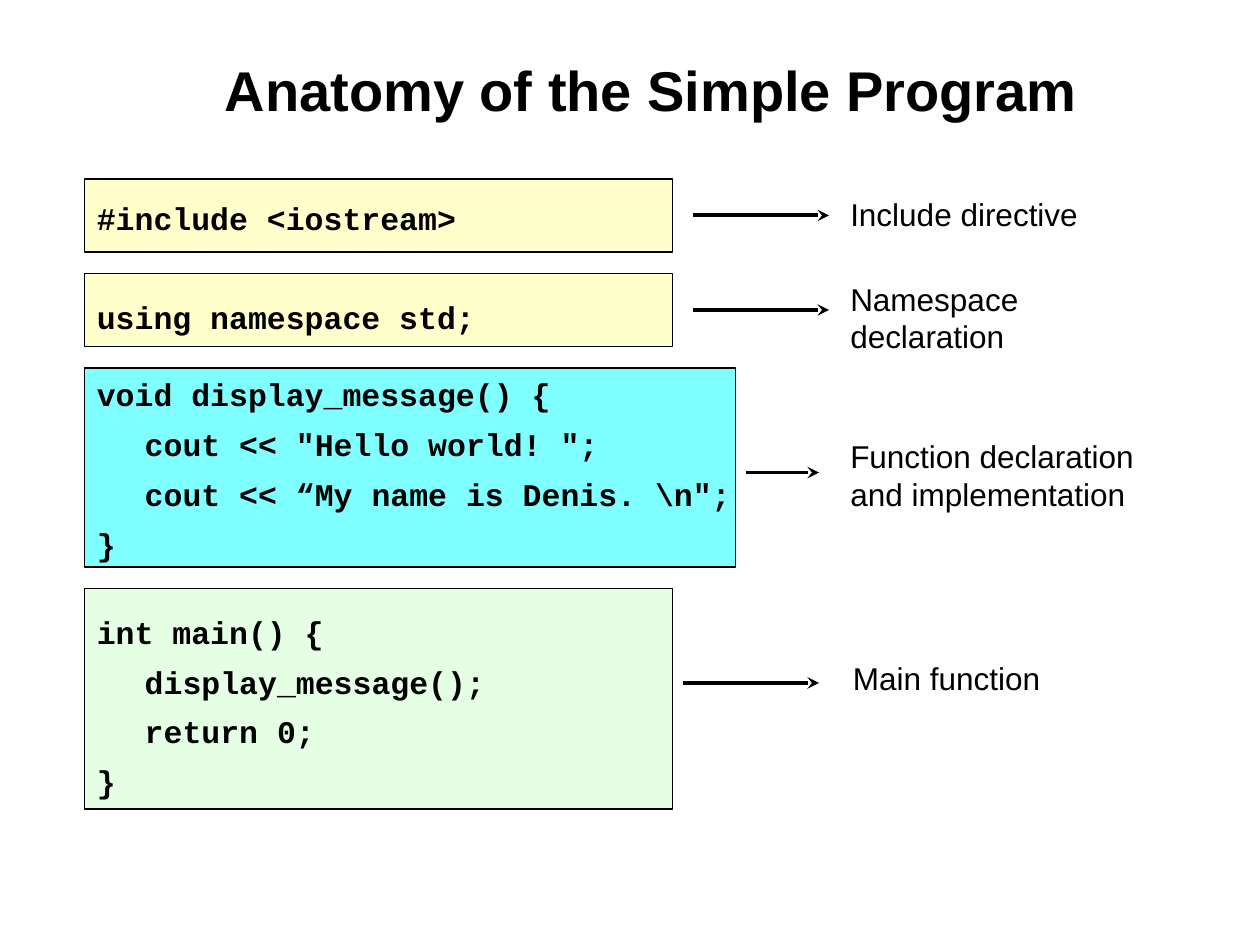
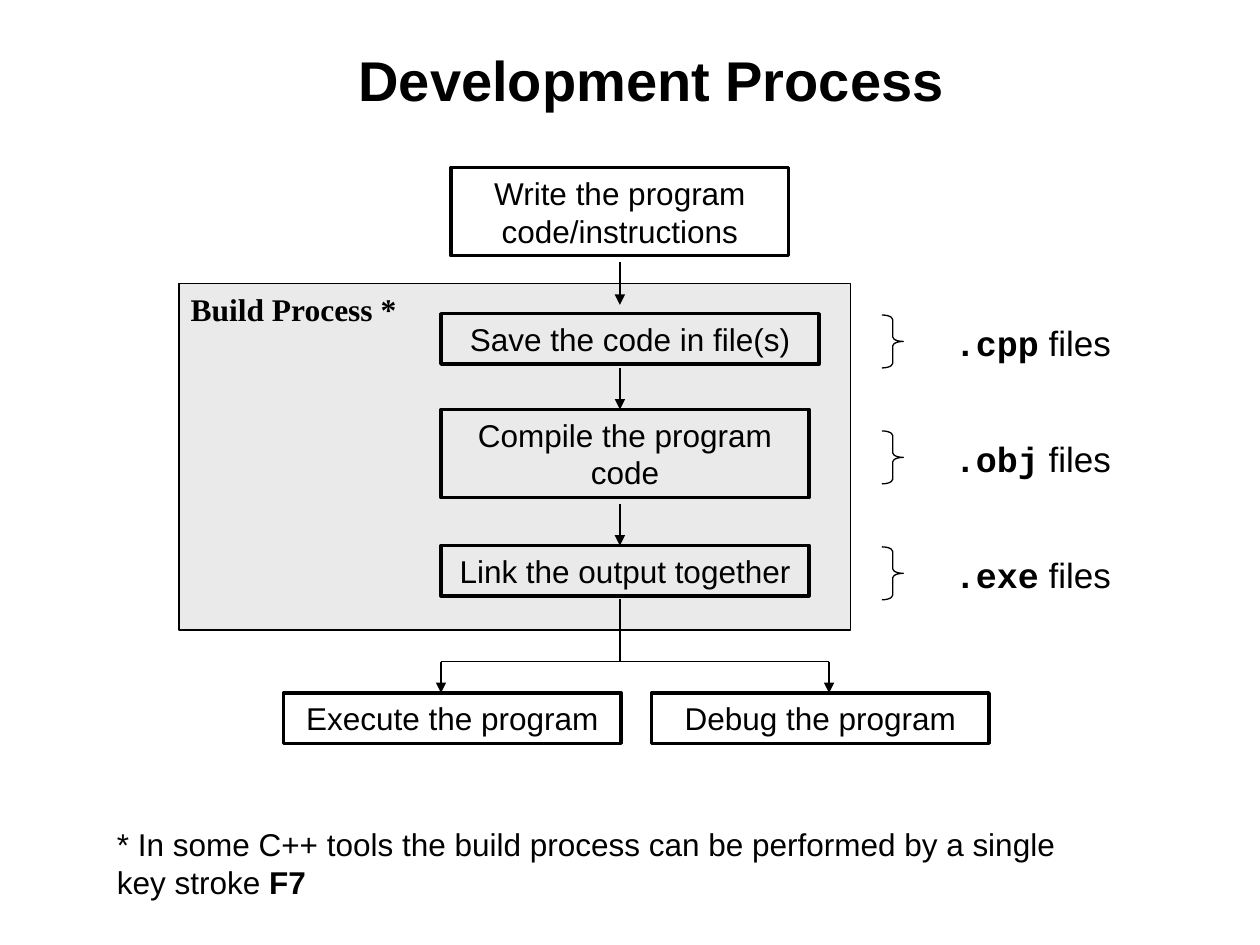
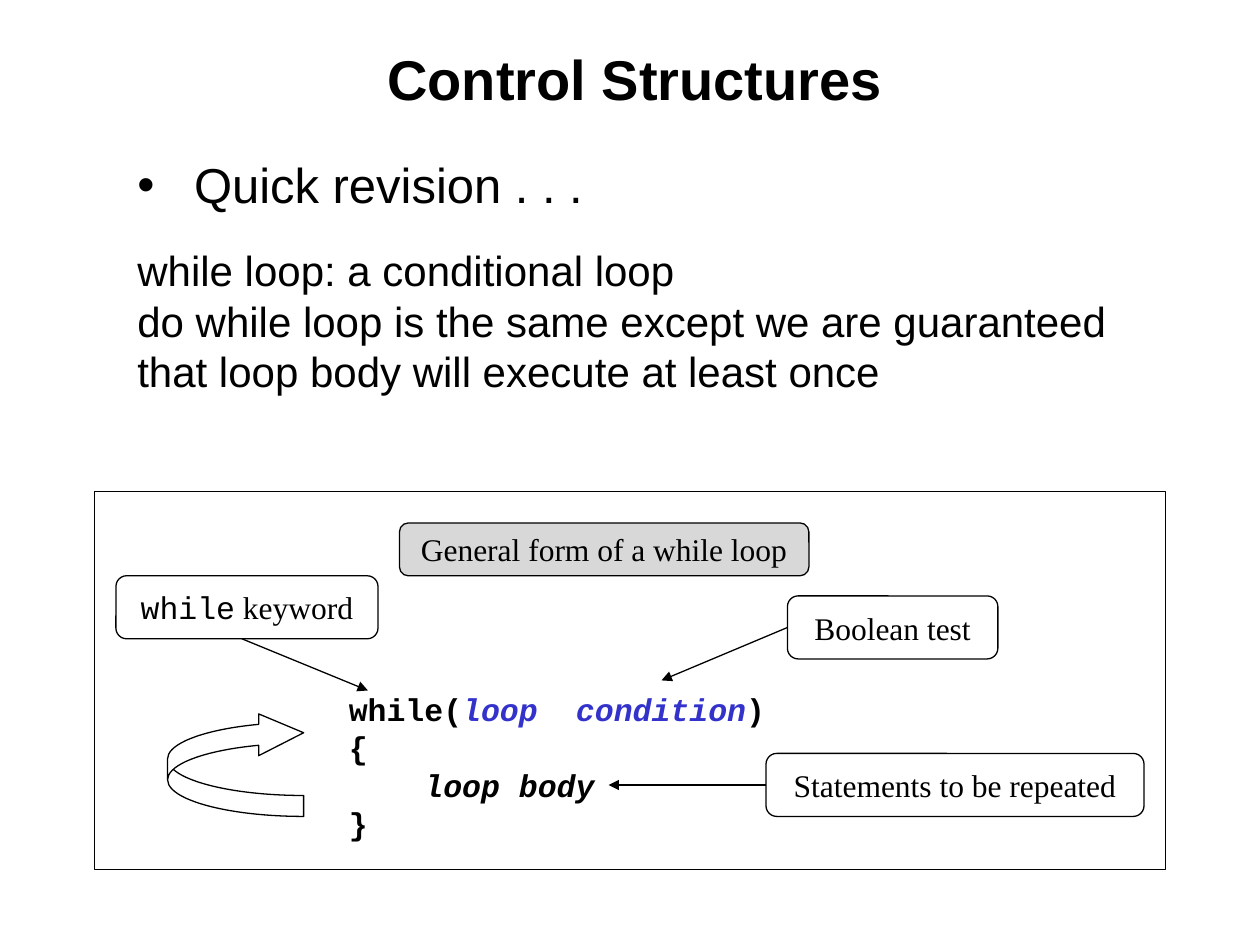
"""Build three lecture slides on program anatomy, the development process and control structures."""
import lxml.etree
import pptx
import pptx.dml.color
import pptx.enum.shapes
import pptx.enum.text
import pptx.oxml.ns
import pptx.util

Inches, Pt = pptx.util.Inches, pptx.util.Pt
SHAPE = pptx.enum.shapes.MSO_SHAPE
ALIGN = pptx.enum.text.PP_ALIGN
ANCHOR = pptx.enum.text.MSO_ANCHOR
qualified = pptx.oxml.ns.qn

COLORS = {
    "ink": "000000", "emphasis": "3333CC", "directive": "FFFF99", "function": "00FFFF",
    "main": "CCFFCC", "build": "EAEAEA", "caption": "B2B2B2",
}
SANS, CODE, SERIF = "Arial", "Courier New", "Times New Roman"
THIN, MEDIUM, THICK = 0.75, 2, 2.25

CODE_LEFT = 0.67
CODE_INDENT = 0.38
PARAGRAPH_GAP = 4.5
CODE_BLOCKS = [
    {"top": 1.42, "size": (4.67, 0.58), "color": "directive", "before": 0,
     "lines": [(0, "#include <iostream>")],
     "arrow": (5.5, 6.58, 1.71), "label": ("Include directive", 6.65, 1.5, 2.43, 0.4)},
    {"top": 2.17, "size": (4.67, 0.58), "color": "directive", "before": 33,
     "lines": [(0, "using namespace std;")],
     "arrow": (5.5, 6.58, 2.46), "label": ("Namespace declaration", 6.65, 2.17, 2.43, 0.7)},
    {"top": 2.92, "size": (5.17, 1.58), "color": "function", "before": 20,
     "lines": [(0, "void display_message() {"), (1, 'cout << "Hello world! ";'),
               (1, 'cout << “My name is Denis. \\n";'), (0, "}")],
     "arrow": (5.92, 6.5, 3.75),
     "label": ("Function declaration and implementation", 6.65, 3.42, 2.93, 0.7)},
    {"top": 4.67, "size": (4.67, 1.75), "color": "main", "before": 26.5,
     "lines": [(0, "int main() {"), (1, "display_message();"), (1, "return 0;"), (0, "}")],
     "arrow": (5.42, 6.5, 5.42), "label": ("Main function", 6.67, 5.18, 1.89, 0.4)},
]

STEPS = [
    ("Write the program code/instructions", 3.58, 1.33, 2.68, 0.7),
    ("Save the code in file(s)", 3.5, 2.49, 3, 0.4),
    ("Compile the program code", 3.5, 3.25, 2.92, 0.7),
    ("Link the output together", 3.5, 4.33, 2.92, 0.4),
    ("Execute the program", 2.25, 5.5, 2.68, 0.4),
    ("Debug the program", 5.17, 5.5, 2.68, 0.4),
]
FLOW_CENTER, FORK_TOP, FORK_BOTTOM = 4.92, 5.25, 5.5
FLOW_ARROWS = [(2.08, 2.42), (2.92, 3.25), (4, 4.33)]
FORK_ENDS = (3.5, 6.58)
FILE_TYPES = [".cpp", ".obj", ".exe"]
FILE_TOP, FILE_PITCH = 2.5, 0.92

REVISION = [
    "while loop: a conditional loop",
    "do while loop is the same except we are guaranteed",
    "that loop body will execute at least once",
]
CALLOUTS = [
    ([("General form of a while loop", {})], 3.17, 4.15, 3.25, 0.42, "caption"),
    ([("while", {"font": CODE}), (" keyword", {})], 0.92, 4.57, 2.08, 0.5, None),
    ([("Boolean test", {})], 6.25, 4.73, 1.67, 0.5, None),
    ([("Statements to be repeated", {})], 6.08, 5.98, 3, 0.5, None),
]
POINTERS = [((1.92, 5.07), (2.92, 5.48)), ((6.25, 4.98), (5.25, 5.4)), ((6.08, 6.23), (4.83, 6.23))]
LOOP_CODE = [
    (0, [("while(", {}), ("loop condition", {"color": "emphasis", "italic": True}), (") {", {})]),
    (0.6, [("loop body", {"italic": True})]),
    (0, [("}", {})]),
]


def rgb(name):
    return pptx.dml.color.RGBColor.from_string(COLORS[name])


def add_runs(paragraph, runs, size=18, font=SANS, bold=False):
    for text, style in runs:
        run = paragraph.add_run()
        run.text = text
        run.font.name = style.get("font", font)
        run.font.size = Pt(size)
        run.font.bold = style.get("bold", bold)
        run.font.italic = style.get("italic", False)
        run.font.color.rgb = rgb(style.get("color", "ink"))


def next_paragraph(frame):
    return frame.paragraphs[0] if not frame.paragraphs[0].runs else frame.add_paragraph()


def indent(paragraph, margin, first_line=0):
    properties = paragraph._p.get_or_add_pPr()
    properties.set("marL", str(Inches(margin)))
    properties.set("indent", str(Inches(first_line)))
    return properties


def place(shape, left, top, width, height):
    shape.left, shape.top = Inches(left), Inches(top)
    shape.width, shape.height = Inches(width), Inches(height)


def add_title(slide, text, left, top, width, height):
    title = slide.shapes.title
    place(title, left, top, width, height)
    title.text_frame.vertical_anchor = ANCHOR.MIDDLE
    title.text_frame.auto_size = pptx.enum.text.MSO_AUTO_SIZE.NONE
    title.text_frame.paragraphs[0].alignment = ALIGN.CENTER
    add_runs(title.text_frame.paragraphs[0], [(text, {})], size=32, bold=True)


def add_text(slide, box, runs=(), wrap=True, **style):
    frame = slide.shapes.add_textbox(*map(Inches, box)).text_frame
    frame.word_wrap = wrap
    add_runs(frame.paragraphs[0], runs, **style)
    return frame


def add_shape(slide, kind, box, color=None, alpha=100, weight=THIN, adjustments=()):
    shape = slide.shapes.add_shape(kind, *map(Inches, box))
    shape.shadow.inherit = False
    for index, value in enumerate(adjustments):
        shape.adjustments[index] = value
    if color:
        shape.fill.solid()
        shape.fill.fore_color.rgb = rgb(color)
        if alpha < 100:
            tint = shape._element.spPr.find(".//" + qualified("a:srgbClr"))
            lxml.etree.SubElement(tint, qualified("a:alpha"), val=str(alpha * 1000))
    else:
        shape.fill.background()
    shape.line.color.rgb = rgb("ink")
    shape.line.width = Pt(weight)
    return shape


def label_shape(shape, runs, anchor, wrap, **style):
    frame = shape.text_frame
    frame.vertical_anchor = anchor
    frame.word_wrap = wrap
    frame.paragraphs[0].alignment = ALIGN.CENTER
    add_runs(frame.paragraphs[0], runs, **style)


def add_line(slide, start, end, weight=THIN, head="triangle"):
    connector = slide.shapes.add_connector(
        pptx.enum.shapes.MSO_CONNECTOR.STRAIGHT, *map(Inches, start + end))
    connector.line.color.rgb = rgb("ink")
    connector.line.width = Pt(weight)
    properties = connector._element.spPr
    if head:
        lxml.etree.SubElement(properties.find(qualified("a:ln")), qualified("a:tailEnd"), type=head)
    lxml.etree.SubElement(properties, qualified("a:effectLst"))


def build_anatomy(slide):
    add_title(slide, "Anatomy of the Simple Program", 1.42, 0.33, 7.5, 0.75)
    for block in CODE_BLOCKS:
        add_shape(slide, SHAPE.RECTANGLE, (CODE_LEFT, block["top"], *block["size"]),
                  block["color"], alpha=50)
        start, end, level = block["arrow"]
        add_line(slide, (start, level), (end, level), THICK, "stealth")
        text, *box = block["label"]
        add_text(slide, box, [(text, {})])
    frame = add_text(slide, (CODE_LEFT, 1.33, 8.58, 4.92))
    frame.margin_top = Inches(0.28)
    for block in CODE_BLOCKS:
        for number, (depth, text) in enumerate(block["lines"]):
            paragraph = next_paragraph(frame)
            paragraph.line_spacing = 0.9
            paragraph.space_before = Pt(PARAGRAPH_GAP if number else block["before"])
            paragraph.space_after = Pt(PARAGRAPH_GAP)
            indent(paragraph, depth * CODE_INDENT)
            add_runs(paragraph, [(text, {})], font=CODE, bold=True)


def build_process(slide):
    add_title(slide, "Development Process", 1.42, 0.25, 7.5, 0.75)
    add_shape(slide, SHAPE.RECTANGLE, (1.42, 2.25, 5.33, 2.75), "build")
    frame = add_text(slide, (1.33, 2.25, 2, 0.4), [("Build Process *", {})], font=SERIF, bold=True)
    frame.paragraphs[0].alignment = ALIGN.CENTER
    for text, *box in STEPS:
        step = add_shape(slide, SHAPE.RECTANGLE, box, weight=MEDIUM)
        label_shape(step, [(text, {})], ANCHOR.TOP, True)
    for top, bottom in FLOW_ARROWS:
        add_line(slide, (FLOW_CENTER, top), (FLOW_CENTER, bottom))
    add_line(slide, (FLOW_CENTER, 4.75), (FLOW_CENTER, FORK_TOP), head=None)
    add_line(slide, (FORK_ENDS[0], FORK_TOP), (FORK_ENDS[1], FORK_TOP), head=None)
    for end in FORK_ENDS:
        add_line(slide, (end, FORK_TOP), (end, FORK_BOTTOM))
    for row, extension in enumerate(FILE_TYPES):
        top = FILE_TOP + row * FILE_PITCH
        add_shape(slide, SHAPE.RIGHT_BRACE, (7, top, 0.17, 0.42), adjustments=(0.21, 0.5))
        add_text(slide, (7.48, top, 1.44, 0.44),
                 [(extension, {"font": CODE, "bold": True}), (" files", {})], wrap=False, size=20)
    add_text(slide, (0.83, 6.5, 7.83, 0.7), [
        ("* In some C++ tools the build process can be performed by a single key stroke ", {}),
        ("F7", {"bold": True})])


def build_control(slide):
    add_title(slide, "Control Structures", 1.58, 0.33, 6.92, 0.58)
    body = slide.placeholders[1]
    place(body, 0.99, 1.23, 7.89, 1.97)
    frame = body.text_frame
    frame.word_wrap = False
    frame.auto_size = pptx.enum.text.MSO_AUTO_SIZE.NONE
    heading = frame.paragraphs[0]
    heading.line_spacing = 0.9
    heading.space_before, heading.space_after = Pt(7), Pt(17.5)
    indent(heading, 0.45, -0.45)
    add_runs(heading, [("Quick revision . . .", {})], size=28)
    for text in REVISION:
        paragraph = frame.add_paragraph()
        paragraph.space_before = Pt(0)
        lxml.etree.SubElement(indent(paragraph, 0), qualified("a:buNone"))
        add_runs(paragraph, [(text, {})], size=24)

    add_shape(slide, SHAPE.RECTANGLE, (0.75, 3.9, 8.5, 3))
    for runs, *box, color in CALLOUTS:
        callout = add_shape(slide, SHAPE.ROUNDED_RECTANGLE, box, color, alpha=50,
                            adjustments=(0.17,))
        label_shape(callout, runs, ANCHOR.MIDDLE, False, font=SERIF)
    for start, end in POINTERS:
        add_line(slide, start, end)
    code = add_text(slide, (2.67, 5.43, 3.5, 1.3))
    for margin, runs in LOOP_CODE:
        paragraph = next_paragraph(code)
        indent(paragraph, margin)
        add_runs(paragraph, runs, font=CODE, bold=True)
    code.paragraphs[0].alignment = ALIGN.JUSTIFY
    code.paragraphs[0].space_before = Pt(11.2)
    repeat = add_shape(slide, SHAPE.CURVED_RIGHT_ARROW, (1.33, 5.65, 1.08, 0.83),
                       adjustments=(0.2, 0.4, 0.43))
    repeat._element.spPr.find(qualified("a:xfrm")).set("flipV", "1")


def main():
    presentation = pptx.Presentation()
    presentation.slide_width, presentation.slide_height = Inches(10), Inches(7.5)
    title_and_content, title_only = presentation.slide_layouts[1], presentation.slide_layouts[5]
    for build, layout in [(build_anatomy, title_only), (build_process, title_only),
                          (build_control, title_and_content)]:
        build(presentation.slides.add_slide(layout))
    presentation.save("out.pptx")


if __name__ == "__main__":
    main()
